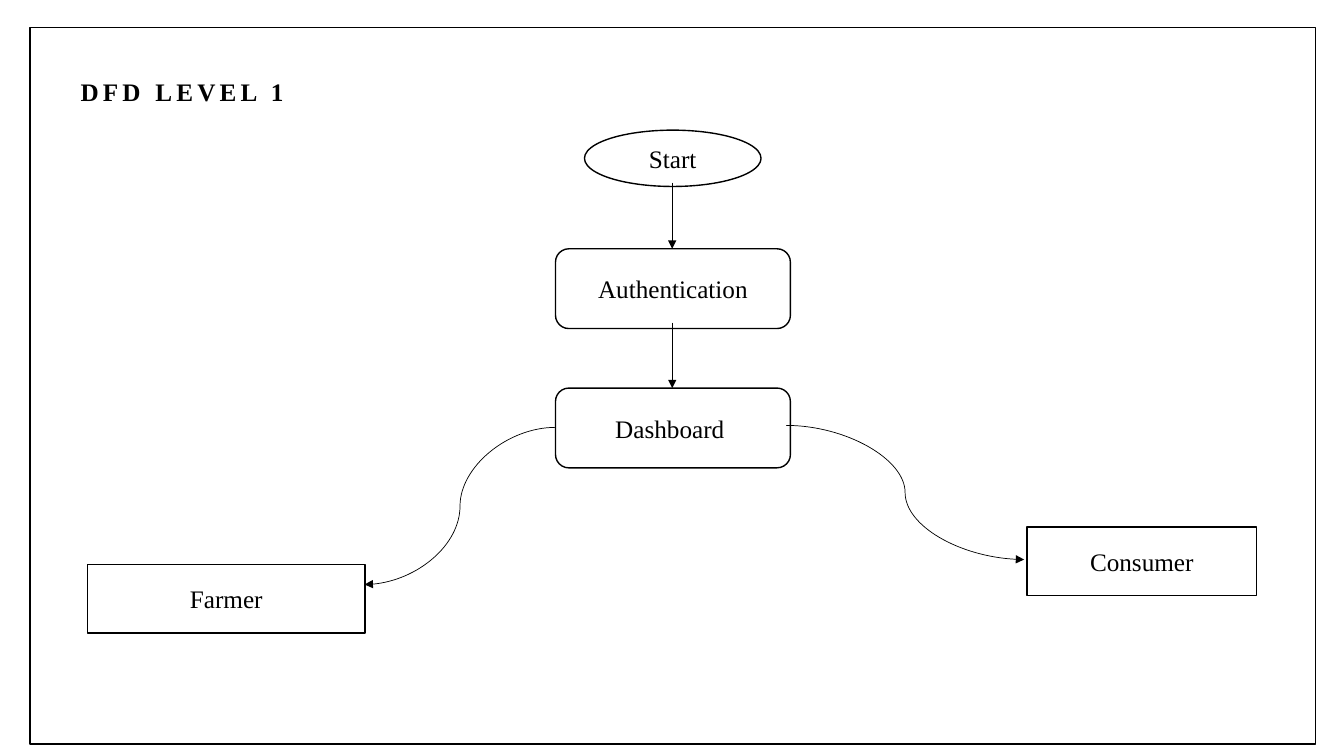
"""Draw the level 1 data flow diagram of the farm market."""
from typing import Any, NamedTuple

from pptx import Presentation
from pptx import util as u
from pptx.dml import color
from pptx.enum import shapes, text
from pptx.oxml import ns, xmlchemy

BLACK = color.RGBColor(0, 0, 0)
WHITE = color.RGBColor(255, 255, 255)
FONT = {"name": "Times New Roman", "size": u.Pt(18)}
KIND = shapes.MSO_SHAPE
LINK = shapes.MSO_CONNECTOR


class Box(NamedTuple):
    kind: Any
    left: float
    top: float
    width: float
    height: float
    label: str = ""


class Link(NamedTuple):
    kind: Any
    x1: float
    y1: float
    x2: float
    y2: float


FRAME = Box(KIND.RECTANGLE, 0.76, 0.69, 32.39, 18.06)
STEPS = [
    Box(KIND.OVAL, 14.73, 3.28, 4.45, 1.42, "Start"),
    Box(KIND.ROUNDED_RECTANGLE, 14, 6.27, 5.92, 2.01, "Authentication"),
    Box(KIND.ROUNDED_RECTANGLE, 14, 9.78, 5.92, 2.01, "Dashboard "),
    Box(KIND.RECTANGLE, 25.88, 13.28, 5.79, 1.73, "Consumer"),
    Box(KIND.RECTANGLE, 2.21, 14.22, 6.99, 1.73, "Farmer"),
]
FLOWS = [
    Link(LINK.STRAIGHT, 16.94, 4.6, 16.94, 6.27),
    Link(LINK.STRAIGHT, 16.94, 8.13, 16.94, 9.78),
    Link(LINK.CURVE, 19.81, 10.72, 25.81, 14.1),
    Link(LINK.CURVE, 14, 10.77, 9.19, 14.73),
]


def style(run: Any, **extra: Any) -> None:
    """Apply the common font, plus any extra format values."""
    for key, value in {**FONT, **extra}.items():
        setattr(run.font, key, value)
    run.font.color.rgb = BLACK


def outline(line: Any, width: float) -> None:
    """Set a black line of the given width in points."""
    line.color.rgb = BLACK
    line.width = u.Pt(width)


def draw_box(slide: Any, box: Box) -> None:
    """Draw an outlined box, filled and labelled if it has a label."""
    shape = slide.shapes.add_shape(box.kind, *map(u.Cm, box[1:5]))
    shape.shadow.inherit = False
    outline(shape.line, 1)
    if not box.label:
        shape.fill.background()
        return
    shape.fill.solid()
    shape.fill.fore_color.rgb = WHITE
    frame = shape.text_frame
    frame.vertical_anchor = text.MSO_ANCHOR.MIDDLE
    par = frame.paragraphs[0]
    par.alignment = text.PP_ALIGN.CENTER
    run = par.add_run()
    run.text = box.label
    style(run)


def draw_link(slide: Any, link: Link) -> None:
    """Draw a thin connector with an arrowhead at its end."""
    wire = slide.shapes.add_connector(link.kind, *map(u.Cm, link[1:]))
    outline(wire.line, 0.5)
    head = xmlchemy.OxmlElement("a:tailEnd")
    head.set("type", "triangle")
    props = wire._element.spPr
    props.find(ns.qn("a:ln")).append(head)
    props.append(xmlchemy.OxmlElement("a:effectLst"))


def draw_title(slide: Any) -> None:
    """Write the bold, widely spaced heading."""
    area = slide.shapes.add_textbox(*map(u.Cm, (1.78, 1.8, 15.16, 1.02)))
    frame = area.text_frame
    frame.word_wrap = True
    frame.auto_size = text.MSO_AUTO_SIZE.SHAPE_TO_FIT_TEXT
    run = frame.paragraphs[0].add_run()
    run.text = "DFD LEVEL 1"
    style(run, bold=True)
    run._r.get_or_add_rPr().set("spc", "300")


def main() -> None:
    """Build and save the slide."""
    deck = Presentation()
    deck.slide_width, deck.slide_height = u.Cm(33.87), u.Cm(19.05)
    slide = deck.slides.add_slide(deck.slide_layouts[6])
    draw_box(slide, FRAME)
    draw_title(slide)
    for step in STEPS:
        draw_box(slide, step)
    for flow in FLOWS:
        draw_link(slide, flow)
    deck.save("out.pptx")


if __name__ == "__main__":
    main()
